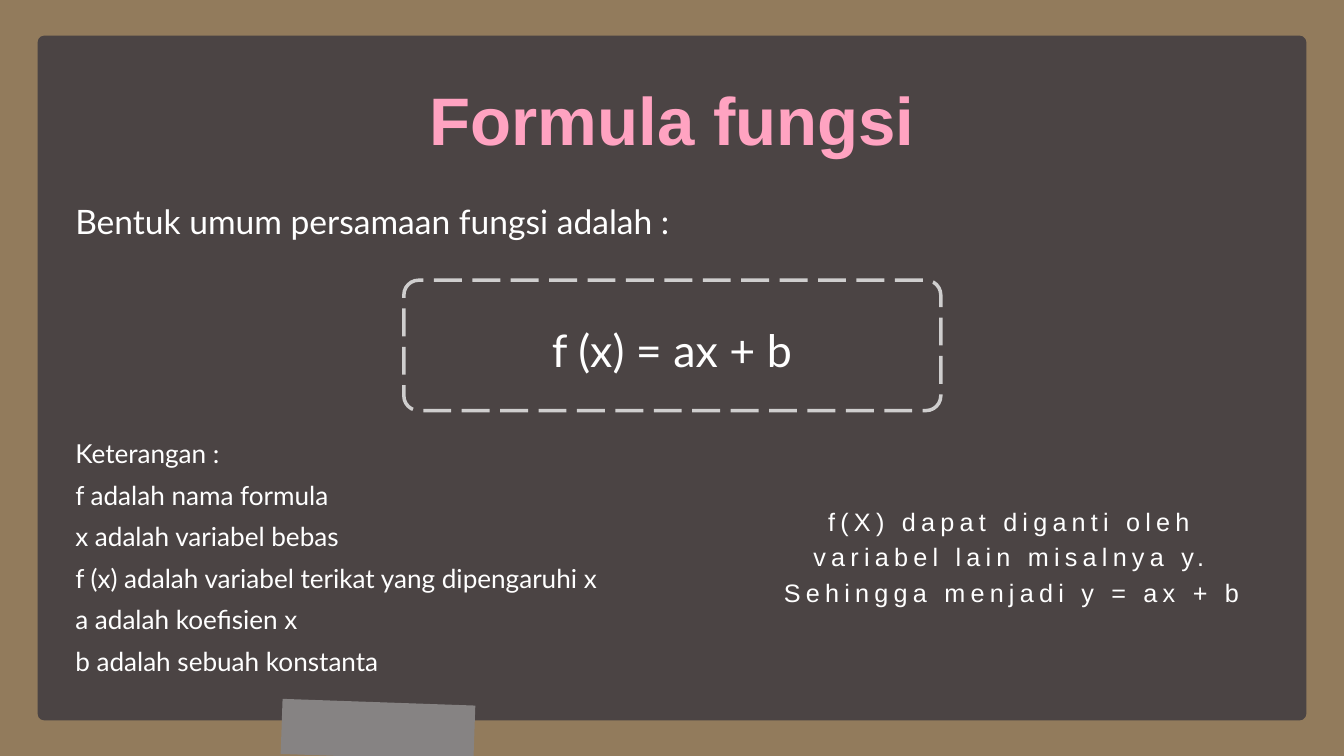
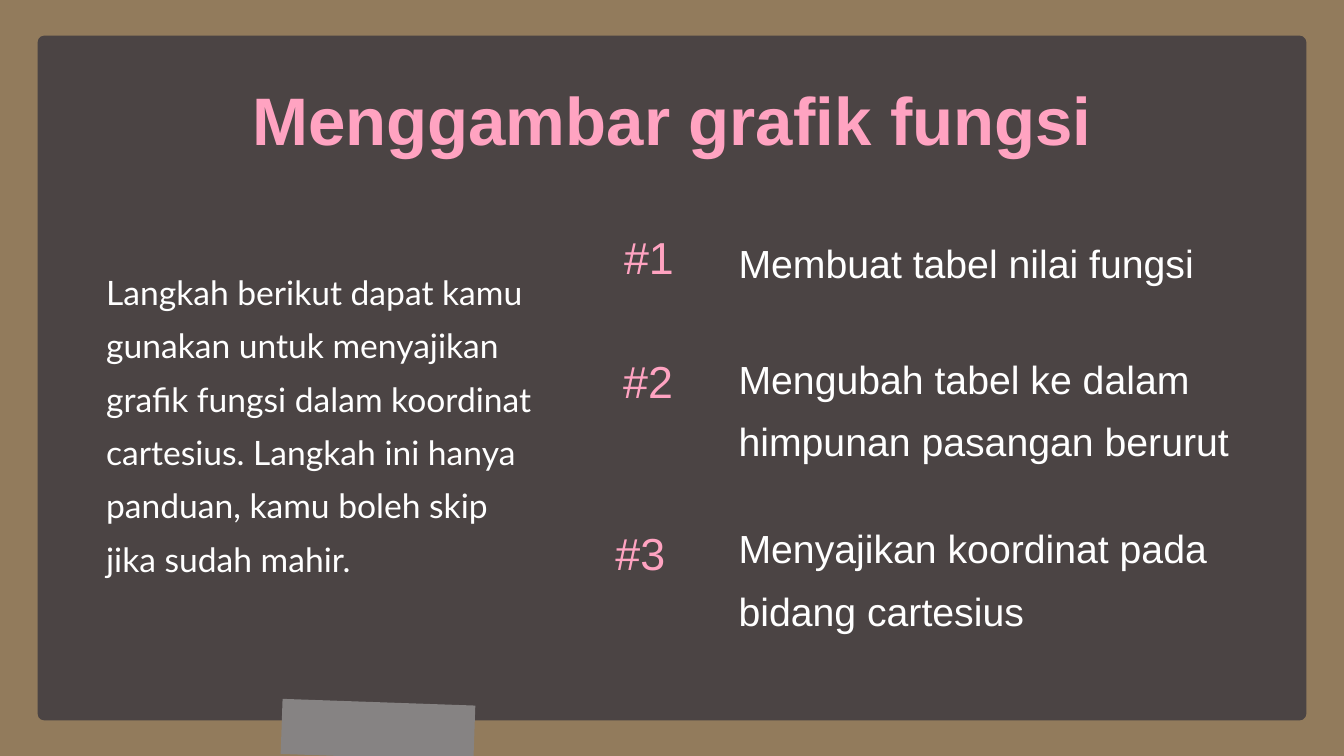
from lxml.etree import SubElement
from pptx import Presentation
from pptx.dml.color import RGBColor
from pptx.enum.dml import MSO_LINE_DASH_STYLE as Dash
from pptx.enum.shapes import MSO_SHAPE as Shape
from pptx.enum.text import MSO_ANCHOR as Anchor, MSO_AUTO_SIZE as AutoSize, PP_ALIGN as Align
from pptx.oxml.ns import qn
from pptx.util import Inches, Pt

WOOD = RGBColor(0x92, 0x7B, 0x5C)
BOARD = RGBColor(0x4B, 0x44, 0x44)
TAPE = RGBColor(0x86, 0x83, 0x83)
DASHES = RGBColor(0xCF, 0xCE, 0xCE)
PINK = RGBColor(0xFF, 0xA3, 0xC1)
WHITE = RGBColor(0xFF, 0xFF, 0xFF)

SANS, LATO = "Arial", "Lato"
STYLES = {
    "title": dict(font=dict(name=SANS, size=Pt(72), bold=True), color=PINK, leading=100.8, align=Align.CENTER),
    "lead": dict(font=dict(name=LATO, size=Pt(36)), color=WHITE, leading=57.2, align=Align.LEFT),
    "legend": dict(font=dict(name=LATO, size=Pt(28)), color=WHITE, leading=44.5, align=Align.LEFT),
    "formula": dict(font=dict(name=LATO, size=Pt(48)), color=WHITE, leading=76.3, align=Align.CENTER),
    "remark": dict(font=dict(name=SANS, size=Pt(27)), color=WHITE, leading=37.8, align=Align.CENTER, tracking=5.6),
    "number": dict(font=dict(name=SANS, size=Pt(48)), color=PINK, leading=67.2, align=Align.CENTER),
    "step": dict(font=dict(name=SANS, size=Pt(42)), color=WHITE, leading=66.8, align=Align.LEFT),
}


class BoardDeck:
    def __init__(self):
        self.deck = Presentation()
        self.deck.slide_width = Inches(20)
        self.deck.slide_height = Inches(11.25)
        self.page = None

    def add_page(self, title):
        self.page = self.deck.slides.add_slide(self.deck.slide_layouts[1])
        background = self.page.background.fill
        background.solid()
        background.fore_color.rgb = WOOD
        self.panel(0.56, 0.53, 18.88, 10.19, BOARD, radius=0.1)
        self.panel(4.19, 10.45, 2.87, 0.82, TAPE).rotation = 2
        self.fill_placeholder(self.page.shapes.title, [title], "title", 2.58, 0.97, 14.85, 1.35)

    def panel(self, left, top, width, height, color, radius=0):
        kind = Shape.ROUNDED_RECTANGLE if radius else Shape.RECTANGLE
        panel = self.page.shapes.add_shape(kind, Inches(left), Inches(top), Inches(width), Inches(height))
        if radius:
            panel.adjustments[0] = radius / min(width, height)
        panel.shadow.inherit = False
        panel.fill.solid()
        panel.fill.fore_color.rgb = color
        panel.line.fill.background()
        return panel

    def dashed_panel(self, left, top, width, height, radius):
        line = self.panel(left, top, width, height, BOARD, radius).line
        line.color.rgb = DASHES
        line.width = Pt(3.75)
        line.dash_style = Dash.LONG_DASH

    def text(self, content, style, left, top, width, height):
        box = self.page.shapes.add_textbox(Inches(left), Inches(top), Inches(width), Inches(height))
        self.set_lines(box.text_frame, [content], style)

    def body(self, lines, style, left, top, width, height):
        self.fill_placeholder(self.page.placeholders[1], lines, style, left, top, width, height)

    def fill_placeholder(self, holder, lines, style, left, top, width, height):
        self.page.shapes.element.append(holder.element)
        holder.left, holder.top = Inches(left), Inches(top)
        holder.width, holder.height = Inches(width), Inches(height)
        self.set_lines(holder.text_frame, lines, style, plain_list=True)

    def set_lines(self, frame, lines, style, plain_list=False):
        look = STYLES[style]
        frame.word_wrap = True
        frame.auto_size = AutoSize.NONE
        frame.vertical_anchor = Anchor.TOP
        for side in ("left", "top", "right", "bottom"):
            setattr(frame, f"margin_{side}", 0)
        for index, line in enumerate(lines):
            para = frame.paragraphs[0] if index == 0 else frame.add_paragraph()
            para.alignment = look["align"]
            para.line_spacing = Pt(look["leading"])
            para.space_before = Pt(0)
            if plain_list:
                self.remove_bullet(para)
            span = para.add_run()
            span.text = line
            for name, value in look["font"].items():
                setattr(span.font, name, value)
            span.font.color.rgb = look["color"]
            if "tracking" in look:
                span._r.get_or_add_rPr().set("spc", str(round(look["tracking"] * 100)))

    @staticmethod
    def remove_bullet(para):
        properties = para._p.get_or_add_pPr()
        properties.set("marL", "0")
        properties.set("indent", "0")
        SubElement(properties, qn("a:buNone"))


def add_formula_page(board):
    board.add_page("Formula fungsi")
    board.text("Bentuk umum persamaan fungsi adalah :", "lead", 1.12, 2.79, 15.71, 0.75)
    legend = [
        "Keterangan :",
        "f adalah nama formula",
        "x adalah variabel bebas",
        "f (x) adalah variabel terikat yang dipengaruhi x",
        "a adalah koefisien x",
        "b adalah sebuah konstanta",
    ]
    board.body(legend, "legend", 1.12, 6.36, 9.39, 3.66)
    board.dashed_panel(6.01, 4.17, 7.99, 1.94, radius=0.22)
    board.text("f (x) = ax + b", "formula", 5.7, 4.54, 8.6, 1)
    remark = "f(X) dapat diganti oleh variabel lain misalnya y. Sehingga menjadi y = ax + b"
    board.text(remark, "remark", 11.32, 7.46, 7.47, 1.54)


def add_steps_page(board):
    board.add_page("Menggambar grafik fungsi")
    intro = (
        "Langkah berikut dapat kamu gunakan untuk menyajikan grafik fungsi dalam koordinat cartesius. "
        "Langkah ini hanya panduan, kamu boleh skip jika sudah mahir."
    )
    board.body([intro], "lead", 1.58, 3.85, 6.37, 4.71)
    steps = [
        ("#1 ", 8.85, 3.29, 1.8, "Membuat tabel nilai fungsi", 3.33, 0.88),
        ("#2", 8.62, 5.13, 2.05, "Mengubah tabel ke dalam himpunan pasangan berurut", 5.06, 1.8),
        ("#3", 8.7, 7.69, 1.66, "Menyajikan koordinat pada bidang cartesius", 7.58, 1.8),
    ]
    for number, left, number_top, width, step, step_top, height in steps:
        board.text(number, "number", left, number_top, width, 0.92)
        board.text(step, "step", 10.99, step_top, 7.5, height)


def main():
    board = BoardDeck()
    add_formula_page(board)
    add_steps_page(board)
    board.deck.save("out.pptx")


if __name__ == "__main__":
    main()
